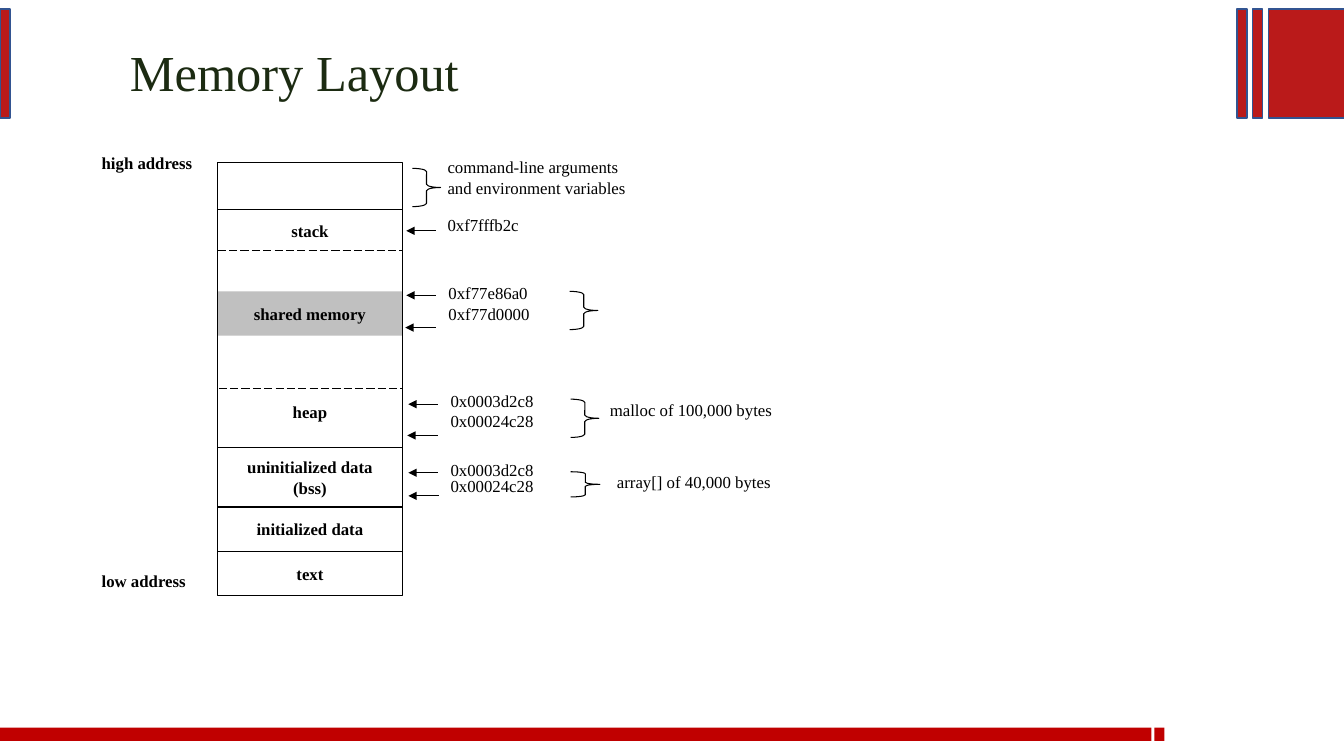
from dataclasses import dataclass
from typing import NamedTuple

from lxml import etree
from pptx import Presentation, util as u
from pptx.dml.color import RGBColor
from pptx.enum import dml, shapes, text
from pptx.oxml import ns


@dataclass(frozen=True)
class Theme:
    font: str = "Times New Roman"
    ink: str = "000000"
    title: str = "1C2B12"
    bar: str = "C00000"
    block: str = "BA1A1A"
    edge: str = "325491"
    shade: str = "C0C0C0"
    head: float = 36
    body: float = 12
    thin: float = 0.75


class Box(NamedTuple):
    left: float
    top: float
    width: float
    height: float


class Part(NamedTuple):
    """One memory segment in the column."""
    top: float
    height: float
    lines: tuple = ()
    fill: str = ""


class Note(NamedTuple):
    """A label beside the column."""
    box: Box
    lines: tuple
    bold: bool = False
    space: float = 1.0


class Brace(NamedTuple):
    box: Box
    adj: float = 0.113


class Arrow(NamedTuple):
    start: float
    end: float
    y: float


T = Theme()
LEFT, WIDE = 2.16, 1.83

BARS = (Box(0, 7.22, 11.42, 0.13), Box(11.45, 7.22, 0.1, 0.13))
BLOCKS = tuple(Box(x, 0.09, w, 1.08) for x, w in
               ((0, 0.1), (12.58, 0.76), (12.42, 0.1), (12.27, 0.1)))

PARTS = (
    Part(2.89, 0.44, ("shared memory",), T.shade),
    Part(1.61, 0.47),
    Part(4.44, 0.59, ("uninitialized data", "(bss)")),
    Part(2.08, 2.36, ("stack", "heap")),
    Part(5.03, 0.44, ("initialized data",)),
    Part(5.47, 0.44, ("text",)),
)
DASHES = ((2.17, 3.85), (LEFT, 2.49))

NOTES = (
    Note(Box(0.91, 1.47, 1.29, 0.3), ("high address",), True),
    Note(Box(0.91, 5.61, 1.29, 0.3), ("low address",), True),
    Note(Box(4.34, 1.51, 2.85, 0.64),
         ("command-line arguments", "and environment variables")),
    Note(Box(4.34, 2.08, 1.22, 0.37), ("0xf7fffb2c",)),
    Note(Box(4.35, 2.76, 1.33, 0.64), ("0xf77e86a0", "0xf77d0000")),
    Note(Box(4.37, 3.83, 1.36, 0.64), ("0x0003d2c8", "0x00024c28")),
    Note(Box(4.37, 4.55, 1.36, 0.53), ("0x0003d2c8", "0x00024c28"), space=0.8),
    Note(Box(5.95, 3.92, 2.58, 0.37), ("malloc of 100,000 bytes",)),
    Note(Box(6.02, 4.63, 2.48, 0.37), ("array[] of 40,000 bytes",)),
)
BRACES = (
    Brace(Box(4.09, 1.67, 0.28, 0.38)),
    Brace(Box(5.65, 2.89, 0.28, 0.38)),
    Brace(Box(5.66, 3.96, 0.28, 0.38)),
    Brace(Box(5.66, 4.68, 0.29, 0.25), 0.083),
)
ARROWS = (
    Arrow(4.32, 4.03, 2.29), Arrow(4.32, 4.03, 2.93), Arrow(4.32, 4.02, 3.25),
    Arrow(4.34, 4.05, 4.01), Arrow(4.34, 4.04, 4.32),
    Arrow(4.34, 4.05, 4.69), Arrow(4.35, 4.05, 4.92),
)


def place(box: Box) -> list:
    return [u.Inches(n) for n in box]


def draw(slide, kind, box: Box, fill: str = "", line: str = "",
         width: float = T.thin):
    shape = slide.shapes.add_shape(kind, *place(box))
    shape.shadow.inherit = False
    if fill:
        shape.fill.solid()
        shape.fill.fore_color.rgb = RGBColor.from_string(fill)
    else:
        shape.fill.background()
    if line:
        shape.line.color.rgb = RGBColor.from_string(line)
        shape.line.width = u.Pt(width)
    else:
        shape.line.fill.background()
    return shape


def write(frame, lines: tuple, size: float = T.body, color: str = T.ink,
          bold: bool = False, align=text.PP_ALIGN.LEFT,
          space: float = 1.0) -> None:
    frame.word_wrap = True
    for i, line in enumerate(lines):
        para = frame.add_paragraph() if i else frame.paragraphs[0]
        para.alignment = align
        para.line_spacing = space
        run = para.add_run()
        run.text = line
        run.font.name = T.font
        run.font.size = u.Pt(size)
        run.font.bold = bold
        run.font.color.rgb = RGBColor.from_string(color)


def label(slide, note: Note, size: float = T.body, color: str = T.ink) -> None:
    frame = slide.shapes.add_textbox(*place(note.box)).text_frame
    write(frame, note.lines, size, color, note.bold, space=note.space)


def rule(slide, x: float, end: float, y: float):
    line = slide.shapes.add_connector(
        shapes.MSO_CONNECTOR.STRAIGHT, *place(Box(x, y, end, y)))
    line.line.color.rgb = RGBColor.from_string(T.ink)
    line.line.width = u.Pt(T.thin)
    etree.SubElement(line._element.spPr, ns.qn("a:effectLst"))
    return line


def segment(slide, part: Part) -> None:
    box = Box(LEFT, part.top, WIDE, part.height)
    shape = draw(slide, shapes.MSO_SHAPE.RECTANGLE, box, part.fill,
                 "" if part.fill else T.ink)
    frame = shape.text_frame
    frame.vertical_anchor = text.MSO_ANCHOR.MIDDLE
    write(frame, part.lines, bold=True, align=text.PP_ALIGN.CENTER)
    if "heap" in part.lines:
        # Stack sits at the top of the box, heap near its foot
        frame.vertical_anchor = text.MSO_ANCHOR.BOTTOM
        frame.margin_bottom = u.Inches(0.25)
        frame.paragraphs[1].space_before = u.Pt(115.5)


def main() -> None:
    deck = Presentation()
    deck.slide_width, deck.slide_height = u.Inches(13.33), u.Inches(7.5)
    slide = deck.slides.add_slide(deck.slide_layouts[6])
    rect = shapes.MSO_SHAPE.RECTANGLE

    # Frame and title
    for box in BARS:
        draw(slide, rect, box, T.bar)
    for box in BLOCKS:
        draw(slide, rect, box, T.block, T.edge, 1)
    label(slide, Note(Box(1.19, 0.36, 5.37, 0.71), ("Memory Layout",)),
          T.head, T.title)

    # Memory column
    for part in PARTS:
        segment(slide, part)
    for x, y in DASHES:
        rule(slide, x, x + WIDE, y).line.dash_style = dml.MSO_LINE.LONG_DASH

    # Labels, braces and pointers
    for note in NOTES:
        label(slide, note)
    for brace in BRACES:
        shape = draw(slide, shapes.MSO_SHAPE.RIGHT_BRACE, brace.box,
                     line=T.ink)
        shape.adjustments[0] = brace.adj
    for arrow in ARROWS:
        line = rule(slide, *arrow).line
        etree.SubElement(line._get_or_add_ln(), ns.qn("a:tailEnd"),
                         type="triangle")

    deck.save("out.pptx")


if __name__ == "__main__":
    main()
